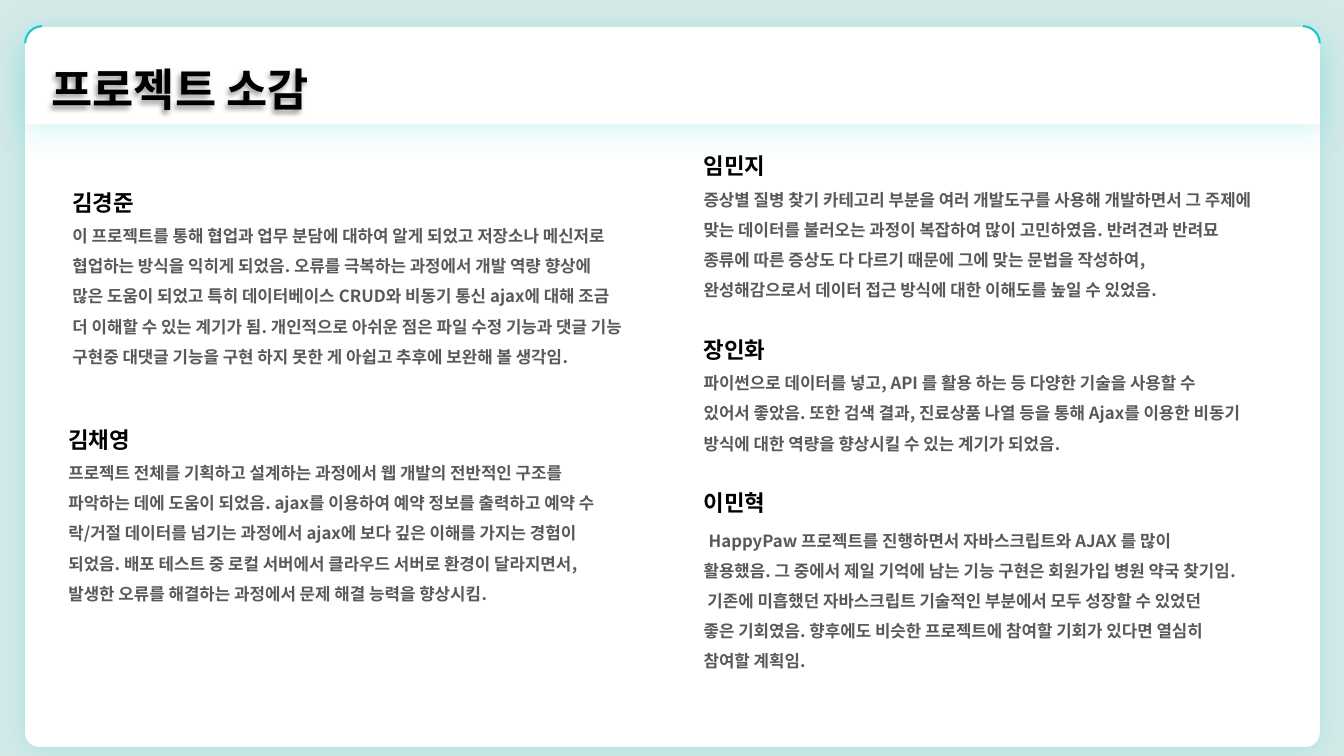
from dataclasses import dataclass

from lxml import etree
from pptx import Presentation
from pptx.dml.color import RGBColor
from pptx.enum import shapes, text
from pptx.oxml import ns
from pptx.util import Inches, Pt

FONT = "Noto Sans CJK KR"
BACKGROUND = RGBColor(0xD4, 0xEA, 0xE8)
WHITE = RGBColor(0xFF, 0xFF, 0xFF)
BLACK = RGBColor(0, 0, 0)
GREY = RGBColor(0x59, 0x59, 0x59)
TEAL = RGBColor(0x18, 0xCA, 0xCA)


@dataclass
class Review:
    """One member's reflection and its text box."""
    name: str
    body: str
    left: float
    top: float
    width: float
    height: float
    indent: float = 0
    gap: float = 0


REVIEWS = [
    Review("장인화",
           "파이썬으로 데이터를 넣고, API 를 활용 하는 등 다양한 기술을 사용할 수 있어서 좋았음. "
           "또한 검색 결과, 진료상품 나열 등을 통해 Ajax를 이용한 비동기 방식에 대한 역량을 "
           "향상시킬 수 있는 계기가 되었음.",
           6.88, 3.15, 5.55, 1.41),
    Review("이민혁",
           "HappyPaw 프로젝트를 진행하면서 자바스크립트와 AJAX 를 많이 활용했음. "
           "그 중에서 제일 기억에 남는 기능 구현은 회원가입 병원 약국 찾기임. "
           "기존에 미흡했던 자바스크립트 기술적인 부분에서 모두 성장할 수 있었던 좋은 기회였음. "
           "향후에도 비슷한 프로젝트에 참여할 기회가 있다면 열심히 참여할 계획임.",
           6.88, 4.67, 5.45, 2.07, indent=0.05, gap=3),
    Review("임민지",
           "증상별 질병 찾기 카테고리 부분을 여러 개발도구를 사용해 개발하면서 그 주제에 맞는 "
           "데이터를 불러오는 과정이 복잡하여 많이 고민하였음. 반려견과 반려묘 종류에 따른 증상도 "
           "다 다르기 때문에 그에 맞는 문법을 작성하여, 완성해감으로서 데이터 접근 방식에 대한 "
           "이해도를 높일 수 있었음.",
           6.88, 1.33, 5.66, 1.72),
    Review("김채영",
           "프로젝트 전체를 기획하고 설계하는 과정에서 웹 개발의 전반적인 구조를 파악하는 데에 "
           "도움이 되었음. ajax를 이용하여 예약 정보를 출력하고 예약 수락/거절 데이터를 넘기는 "
           "과정에서 ajax에 보다 깊은 이해를 가지는 경험이 되었음. 배포 테스트 중 로컬 서버에서 "
           "클라우드 서버로 환경이 달라지면서, 발생한 오류를 해결하는 과정에서 문제 해결 능력을 "
           "향상시킴.",
           0.58, 4.04, 5.66, 2.02),
    Review("김경준",
           "이 프로젝트를 통해 협업과 업무 분담에 대하여 알게 되었고 저장소나 메신저로 협업하는 "
           "방식을 익히게 되었음. 오류를 극복하는 과정에서 개발 역량 향상에 많은 도움이 되었고 "
           "특히 데이터베이스 CRUD와 비동기 통신 ajax에 대해 조금 더 이해할 수 있는 계기가 됨. "
           "개인적으로 아쉬운 점은 파일 수정 기능과 댓글 기능 구현중 대댓글 기능을 구현 하지 못한 "
           "게 아쉽고 추후에 보완해 볼 생각임.",
           0.62, 1.69, 5.66, 2.02),
]


def add_shadow(sp, color: RGBColor, alpha: int, blur: float, dist: float, angle: int) -> None:
    """Give a shape an outer shadow; blur and distance are in points."""
    sp.shadow.inherit = False
    effects = sp.element.spPr.find(ns.qn("a:effectLst"))
    outer = etree.SubElement(effects, ns.qn("a:outerShdw"), blurRad=str(Pt(blur)),
                             dist=str(Pt(dist)), dir=str(angle * 60000),
                             algn="ctr", rotWithShape="0")
    clr = etree.SubElement(outer, ns.qn("a:srgbClr"), val=str(color))
    etree.SubElement(clr, ns.qn("a:alpha"), val=str(alpha * 1000))


def add_panel(s, kind, top: float, height: float):
    """Add a white full-width panel with a teal glow."""
    sp = s.shapes.add_shape(kind, Inches(0.25), Inches(top), Inches(12.84), Inches(height))
    sp.fill.solid()
    sp.fill.fore_color.rgb = WHITE
    sp.line.fill.background()
    add_shadow(sp, TEAL, 20, 23, 3, 90)
    return sp


def add_corner(s, left: float, flipped: bool) -> None:
    """Add a teal quarter arc on a top corner."""
    sp = s.shapes.add_shape(shapes.MSO_SHAPE.ARC, Inches(left), Inches(0.26),
                            Inches(0.34), Inches(0.34))
    sp.adjustments[0], sp.adjustments[1] = 108.1, 161.63
    sp.fill.background()
    sp.line.color.rgb = TEAL
    sp.line.width = Pt(1.5)
    sp.shadow.inherit = False
    if flipped:
        sp.element.spPr.get_or_add_xfrm().set("flipH", "1")


def add_run(p, words: str, size: int, color: RGBColor) -> None:
    """Append a bold run in the slide font."""
    r = p.add_run()
    r.text = words
    r.font.size = Pt(size)
    r.font.bold = True
    r.font.color.rgb = color
    r.font.name = FONT
    etree.SubElement(r.font._element, ns.qn("a:ea"), typeface=FONT)


def add_title(s, words: str) -> None:
    """Place the title placeholder above the panels and format it."""
    sp = s.shapes.title
    s.shapes.element.append(sp.element)
    sp.left, sp.top, sp.width, sp.height = map(Inches, (0.41, 0.56, 6.08, 0.64))
    tf = sp.text_frame
    tf.word_wrap = True
    tf.auto_size = text.MSO_AUTO_SIZE.SHAPE_TO_FIT_TEXT
    tf.vertical_anchor = text.MSO_ANCHOR.TOP
    p = tf.paragraphs[0]
    p.alignment = text.PP_ALIGN.LEFT
    add_run(p, words, 32, BLACK)
    add_shadow(sp, BLACK, 40, 4, 3, 135)


def add_review(s, review: Review) -> None:
    """Add a member's name with the reflection below."""
    sp = s.shapes.add_textbox(Inches(review.left), Inches(review.top),
                              Inches(review.width), Inches(review.height))
    tf = sp.text_frame
    tf.word_wrap = True
    tf.auto_size = text.MSO_AUTO_SIZE.SHAPE_TO_FIT_TEXT
    p = tf.paragraphs[0]
    p.line_spacing = 1.5
    add_run(p, review.name, 16, BLACK)
    p = tf.add_paragraph()
    p.line_spacing = 1.5
    p.space_before = Pt(review.gap)
    p._p.get_or_add_pPr().set("indent", str(Inches(review.indent)))
    add_run(p, review.body, 12, GREY)


prs = Presentation()
prs.slide_width, prs.slide_height = Inches(13.33), Inches(7.5)
s = prs.slides.add_slide(prs.slide_layouts[5])
s.background.fill.solid()
s.background.fill.fore_color.rgb = BACKGROUND

card = add_panel(s, shapes.MSO_SHAPE.ROUNDED_RECTANGLE, 0.43, 6.98)
card.adjustments[0] = 0.02
add_panel(s, shapes.MSO_SHAPE.ROUND_2_SAME_RECTANGLE, 0.27, 0.96)
add_corner(s, 0.25, flipped=False)
add_corner(s, 12.75, flipped=True)
add_title(s, "프로젝트 소감")
for review in REVIEWS:
    add_review(s, review)

prs.save("out.pptx")
